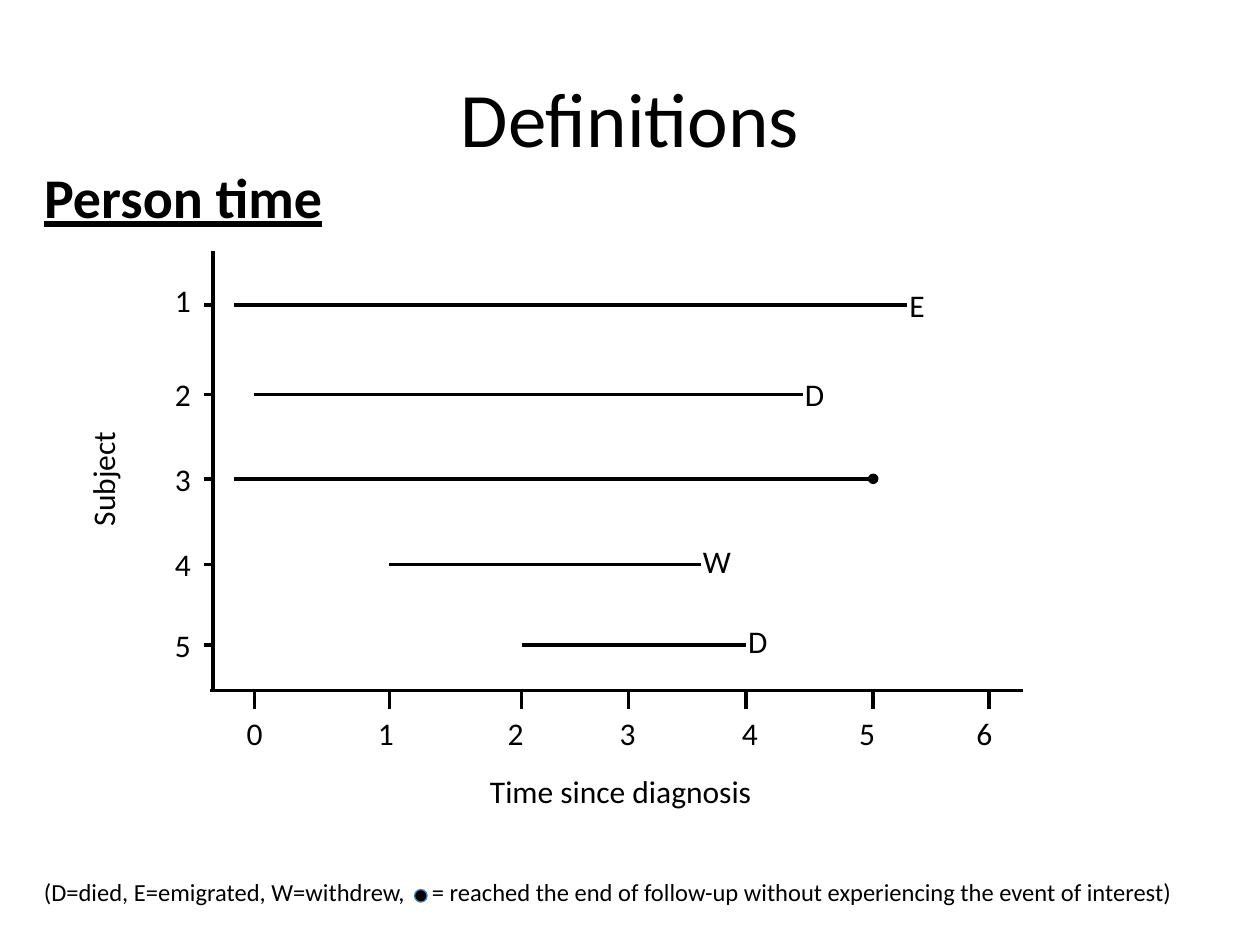
"""Build a slide that explains person time with follow-up lines for five subjects."""
from collections import namedtuple

from lxml import etree
from pptx import Presentation
from pptx.dml.color import RGBColor
from pptx.enum import shapes, text
from pptx.oxml import ns
from pptx.util import Inches, Pt

BLACK = RGBColor(0x00, 0x00, 0x00)
BLUE = RGBColor(0x4B, 0x7E, 0xBC)
FONT = "Calibri"
AXIS_X, AXIS_Y = 1.69, 5.48
TICK_X, TICK_Y = 0.07, 0.15
LABEL_HEIGHT = 0.4

Subject = namedtuple("Subject", "y start end label_top outcome outcome_top outcome_width")
SUBJECTS = [
    Subject(2.42, 1.86, 7.2, 2.18, "E", 2.22, 0.33),
    Subject(3.13, 2.02, 6.37, 2.93, "D", 2.93, 0.36),
    Subject(3.8, 1.86, 6.93, 3.6, None, None, None),
    Subject(4.48, 3.09, 5.56, 4.28, "W", 4.25, 0.43),
    Subject(5.12, 4.14, 5.92, 4.92, "D", 4.89, 0.36),
]
YEARS = [(2.02, 1.86), (3.09, 2.9), (4.14, 3.93), (4.99, 4.82),
         (5.92, 5.79), (6.93, 6.72), (7.85, 7.65)]
FOOTNOTE = ("(D=died, E=emigrated, W=withdrew,\t= reached the end of follow-up "
            "without experiencing the event of interest)")


def place(shape, left, top, width, height):
    """Move and size a shape, in inches."""
    shape.left, shape.top = Inches(left), Inches(top)
    shape.width, shape.height = Inches(width), Inches(height)


def write(shape, words, size):
    """Set the text of a shape, format it and return its paragraph."""
    shape.text_frame.text = words
    paragraph = shape.text_frame.paragraphs[0]
    font = paragraph.runs[0].font
    font.name, font.size = FONT, Pt(size)
    font.color.rgb = BLACK
    return paragraph


def add_title(slide):
    """Fill the title placeholder."""
    title = slide.shapes.title
    place(title, 0.5, 0.3, 9, 1.25)
    paragraph = write(title, "Definitions", 44)
    paragraph.alignment = text.PP_ALIGN.CENTER
    title.text_frame.vertical_anchor = text.MSO_ANCHOR.MIDDLE


def add_heading(slide):
    """Fill the body placeholder with an underlined heading."""
    heading = slide.placeholders[1]
    place(heading, 0.25, 1.24, 9.62, 1.02)
    paragraph = write(heading, "Person time", 32)
    paragraph.runs[0].font.bold = True
    paragraph.runs[0].font.underline = True
    paragraph.space_before, paragraph.space_after = Pt(6.4), Pt(30)
    properties = paragraph._p.get_or_add_pPr()
    properties.set("marL", str(Inches(0.56)))
    properties.set("indent", str(-Inches(0.56)))
    etree.SubElement(properties, ns.qn("a:buNone"))


def add_label(slide, words, left, top, width, height=LABEL_HEIGHT, size=18, wrap=False):
    """Add a text box and return it."""
    label = slide.shapes.add_textbox(Inches(left), Inches(top), Inches(width), Inches(height))
    label.text_frame.word_wrap = wrap
    label.text_frame.auto_size = text.MSO_AUTO_SIZE.SHAPE_TO_FIT_TEXT
    write(label, words, size)
    return label


def add_line(slide, x1, y1, x2, y2, dot=False):
    """Add a black line, with a dot at its end if asked."""
    line = slide.shapes.add_connector(
        shapes.MSO_CONNECTOR.STRAIGHT, Inches(x1), Inches(y1), Inches(x2), Inches(y2))
    line.line.color.rgb = BLACK
    line.line.width = Pt(2)
    if dot:
        etree.SubElement(line.line._get_or_add_ln(), ns.qn("a:tailEnd"), type="oval")
    etree.SubElement(line._element.spPr, ns.qn("a:effectLst"))


def add_axes(slide):
    """Draw both axes, their titles and the year ticks."""
    add_line(slide, AXIS_X, 1.99, AXIS_X, AXIS_Y)
    add_line(slide, AXIS_X - 0.02, AXIS_Y, 8.12, AXIS_Y)
    add_label(slide, "Subject", 0.24, 3.5, 1.15, wrap=True).rotation = 270
    add_label(slide, "Time since diagnosis", 3.79, 6.08, 2.3)
    for year, (tick, label_left) in enumerate(YEARS):
        add_line(slide, tick, AXIS_Y, tick, AXIS_Y + TICK_Y)
        add_label(slide, str(year), label_left, 5.62, 0.33)


def add_subject(slide, number, subject):
    """Draw one subject's tick, number, follow-up line and outcome."""
    add_line(slide, AXIS_X - TICK_X, subject.y, AXIS_X, subject.y)
    add_label(slide, str(number), 1.29, subject.label_top, 0.33)
    add_line(slide, subject.start, subject.y, subject.end, subject.y,
             dot=subject.outcome is None)
    if subject.outcome:
        add_label(slide, subject.outcome, subject.end - 0.08,
                  subject.outcome_top, subject.outcome_width)


def add_footnote(slide):
    """Add the key to the outcomes, with its dot in the tab gap."""
    dot = slide.shapes.add_shape(
        shapes.MSO_SHAPE.OVAL, Inches(3.29), Inches(7.06), Inches(0.1), Inches(0.1))
    dot.shadow.inherit = False
    dot.fill.solid()
    dot.fill.fore_color.rgb = BLACK
    dot.line.color.rgb = BLUE
    dot.line.width = Pt(0.75)
    note = add_label(slide, FOOTNOTE, 0.25, 6.91, 9.25, 0.34, size=14, wrap=True)
    properties = note.text_frame.paragraphs[0]._p.get_or_add_pPr()
    stops = etree.SubElement(properties, ns.qn("a:tabLst"))
    etree.SubElement(stops, ns.qn("a:tab"), pos=str(Inches(3.08)), algn="l")


def main():
    """Build and save the slide."""
    deck = Presentation()
    deck.slide_width, deck.slide_height = Inches(10), Inches(7.5)
    slide = deck.slides.add_slide(deck.slide_layouts[1])
    add_title(slide)
    add_heading(slide)
    add_axes(slide)
    for number, subject in enumerate(SUBJECTS, start=1):
        add_subject(slide, number, subject)
    add_footnote(slide)
    deck.save("out.pptx")


if __name__ == "__main__":
    main()
